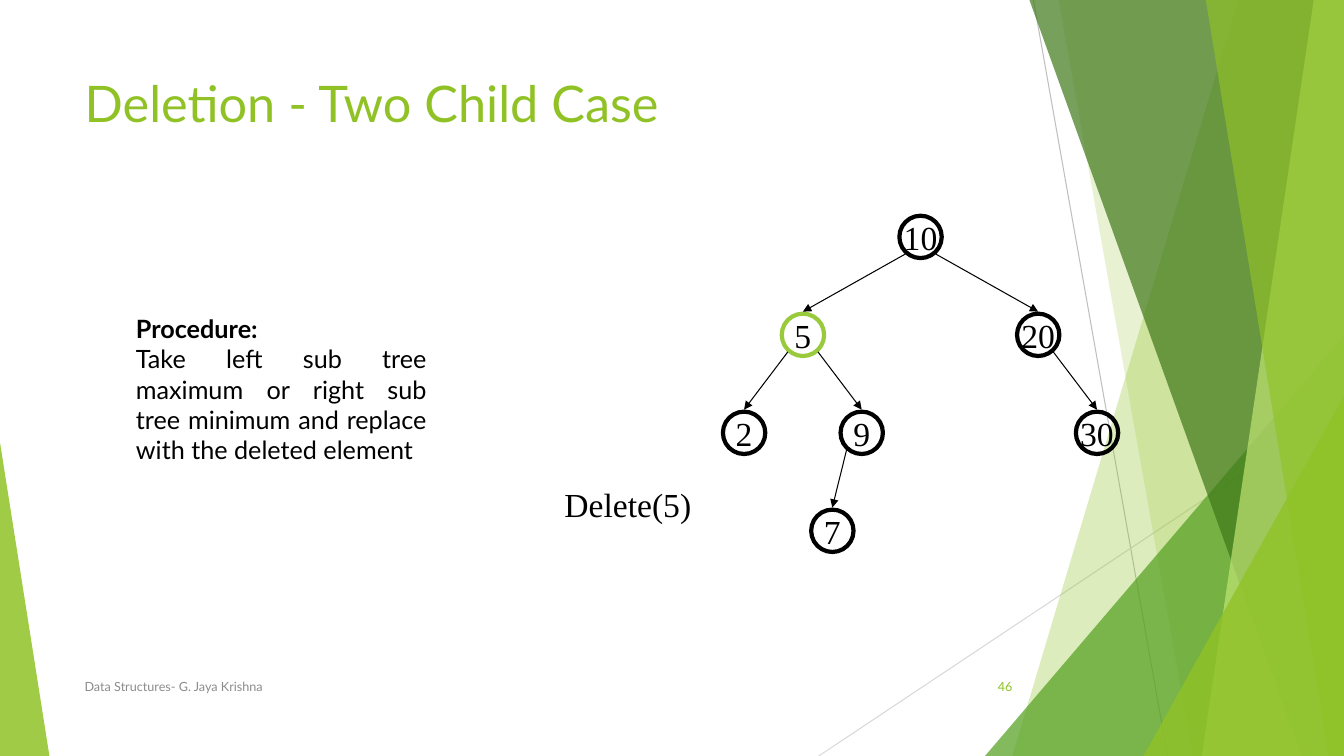
from lxml import etree
from pptx import Presentation
from pptx.dml.color import RGBColor
from pptx.enum.shapes import MSO_CONNECTOR, MSO_SHAPE
from pptx.enum.text import MSO_ANCHOR, MSO_AUTO_SIZE, PP_ALIGN
from pptx.oxml.ns import qn
from pptx.util import Inches, Pt

LINE = MSO_CONNECTOR.STRAIGHT
OVAL, WEDGE = MSO_SHAPE.OVAL, MSO_SHAPE.ISOSCELES_TRIANGLE
TOP, MIDDLE = MSO_ANCHOR.TOP, MSO_ANCHOR.MIDDLE
LEFT, CENTER, RIGHT, JUSTIFY = (
    PP_ALIGN.LEFT, PP_ALIGN.CENTER, PP_ALIGN.RIGHT, PP_ALIGN.JUSTIFY)
NO_FIT = MSO_AUTO_SIZE.NONE

WIDE, HIGH = 13.33, 7.5
MARGIN = 0.74
FOOT = 6.61

THEME = {
    "green": "90C226", "mark": "99CA3C", "leaf": "54A021", "dark": "3F7819",
    "pale": "C0E474", "black": "000000", "gray": "8C8C8C",
    "rule": "BFBFBF", "faint": "D9D9D9",
    "title": {"name": "Lato", "size": Pt(36)},
    "body": {"name": "Lato", "size": Pt(18)},
    "small": {"name": "Lato", "size": Pt(9)},
    "tree": {"name": "Times New Roman", "size": Pt(24)},
}

# Tree grid: half-steps across, levels down
STEP, LEVEL = 0.2917, 0.972
ROOT_X, ROOT_Y = 7.38, 2.35
SIZE = 0.42
NODES = {"10": (6, 0), "5": (2, 1), "20": (10, 1), "2": (0, 2),
         "9": (4, 2), "30": (12, 2), "7": (3, 3)}
EDGES = [("10", "5"), ("10", "20"), ("20", "30"),
         ("5", "2"), ("5", "9"), ("9", "7")]


def tint(name):
    return RGBColor.from_string(THEME[name])


def apply(target, values):
    for key, value in values.items():
        setattr(target, key, value)


def paint(shape, color, alpha):
    """Fill without outline or shadow, at alpha percent opacity."""
    shape.shadow.inherit = False
    shape.line.fill.background()
    shape.fill.solid()
    shape.fill.fore_color.rgb = tint(color)
    node = shape.fill._xPr.find(".//" + qn("a:srgbClr"))
    etree.SubElement(node, qn("a:alpha")).set("val", str(alpha * 1000))


def write(shape, lines, style, color="black", align=LEFT, anchor=TOP,
          wrap=True, bold=()):
    """Put lines in a shape; bold lists the indexes of bold lines."""
    frame = shape.text_frame
    frame.text = "\n".join(lines)
    apply(frame, {"auto_size": NO_FIT, "word_wrap": wrap,
                  "vertical_anchor": anchor})
    for index, para in enumerate(frame.paragraphs):
        para.alignment = align
        apply(para.font, {**THEME[style], "bold": index in bold})
        para.font.color.rgb = tint(color)


def add_text(slide, box, lines, style, **form):
    write(slide.shapes.add_textbox(*map(Inches, box)), lines, style, **form)


def add_line(slide, start, end, color, arrow=False):
    line = slide.shapes.add_connector(LINE, *map(Inches, (*start, *end)))
    line.line.width = Pt(0.75)
    line.line.color.rgb = tint(color)
    if arrow:
        head = etree.SubElement(line.line._get_or_add_ln(), qn("a:tailEnd"))
        head.set("type", "triangle")
    etree.SubElement(line._element.spPr, qn("a:effectLst"))


def add_band(slide, top, foot, color, alpha):
    """Draw a slanted band that runs to the right edge of the slide."""
    points = [(top, 0), (WIDE, 0), (WIDE, HIGH), (foot, HIGH)]
    points = [(Inches(x), Inches(y)) for x, y in points]
    form = slide.shapes.build_freeform(*points[0], scale=1)
    form.add_line_segments(points[1:], close=True)
    paint(form.convert_to_shape(), color, alpha)


def add_wedge(slide, left, top, width, apex, color, alpha):
    box = map(Inches, (left, top, width, HIGH - top))
    wedge = slide.shapes.add_shape(WEDGE, *box)
    wedge.adjustments[0] = apex
    paint(wedge, color, alpha)


def add_decor(slide):
    add_line(slide, (10.25, 0), (11.58, HIGH), "rule")
    add_line(slide, (WIDE, 4.03), (8.12, HIGH), "faint")
    add_band(slide, 12.28, 10.04, "green", 30)
    add_band(slide, 10.5, 11.83, "green", 20)
    add_wedge(slide, 9.77, 3.33, WIDE - 9.77, 1, "leaf", 72)
    add_band(slide, 10.21, 12.91, "dark", 70)
    add_band(slide, 13.03, 11.92, "pale", 70)
    add_band(slide, 11.96, 13.18, "green", 65)
    add_wedge(slide, 11.34, 3.93, WIDE - 11.34, 1, "green", 80)
    add_wedge(slide, 0, 4.39, 0.49, 0, "green", 85)


def spot(key):
    """Return the centre of a tree node."""
    col, row = NODES[key]
    return ROOT_X + col * STEP, ROOT_Y + row * LEVEL


def add_node(slide, key, color):
    x, y = spot(key)
    box = (x - SIZE / 2, y - SIZE / 2, SIZE, SIZE)
    node = slide.shapes.add_shape(OVAL, *map(Inches, box))
    node.shadow.inherit = False
    node.fill.background()
    node.line.width = Pt(3)
    node.line.color.rgb = tint(color)
    write(node, [key], "tree", align=CENTER, anchor=MIDDLE, wrap=False)


def add_edge(slide, parent, child):
    (x, y), (end, top) = spot(parent), spot(child)
    side = 0.15 if end > x else -0.15
    add_line(slide, (x + side, y + 0.17), (end, top - 0.23), "black", True)


def add_tree(slide, target):
    for key in NODES:
        add_node(slide, key, "mark" if key == target else "black")
    for parent, child in EDGES:
        add_edge(slide, parent, child)


def add_title(slide, words):
    title = slide.shapes.title
    apply(title, {"left": Inches(MARGIN), "top": Inches(0.67),
                  "width": Inches(9.4), "height": Inches(1.44)})
    write(title, [words], "title", color="green")
    slide.shapes._spTree.append(title._element)


def main():
    deck = Presentation()
    apply(deck, {"slide_width": Inches(WIDE), "slide_height": Inches(HIGH)})
    slide = deck.slides.add_slide(deck.slide_layouts[5])
    add_decor(slide)
    add_title(slide, "Deletion - Two Child Case")
    add_tree(slide, "5")
    add_text(slide, (5.5, 4.75, 1.46, 0.5), ["Delete(5)"], "tree", wrap=False)
    steps = ["Procedure:", "Take left sub tree maximum or right sub tree "
             "minimum and replace with the deleted element"]
    add_text(slide, (1.25, 3.06, 3.08, 1.92), steps, "body",
             align=JUSTIFY, bold=(0,))
    add_text(slide, (MARGIN, FOOT, 6.89, 0.4),
             ["Data Structures- G. Jaya Krishna"], "small",
             color="gray", anchor=MIDDLE)
    add_text(slide, (9.39, FOOT, 0.75, 0.4), ["46"], "small",
             color="green", align=RIGHT, anchor=MIDDLE)
    deck.save("out.pptx")


if __name__ == "__main__":
    main()
